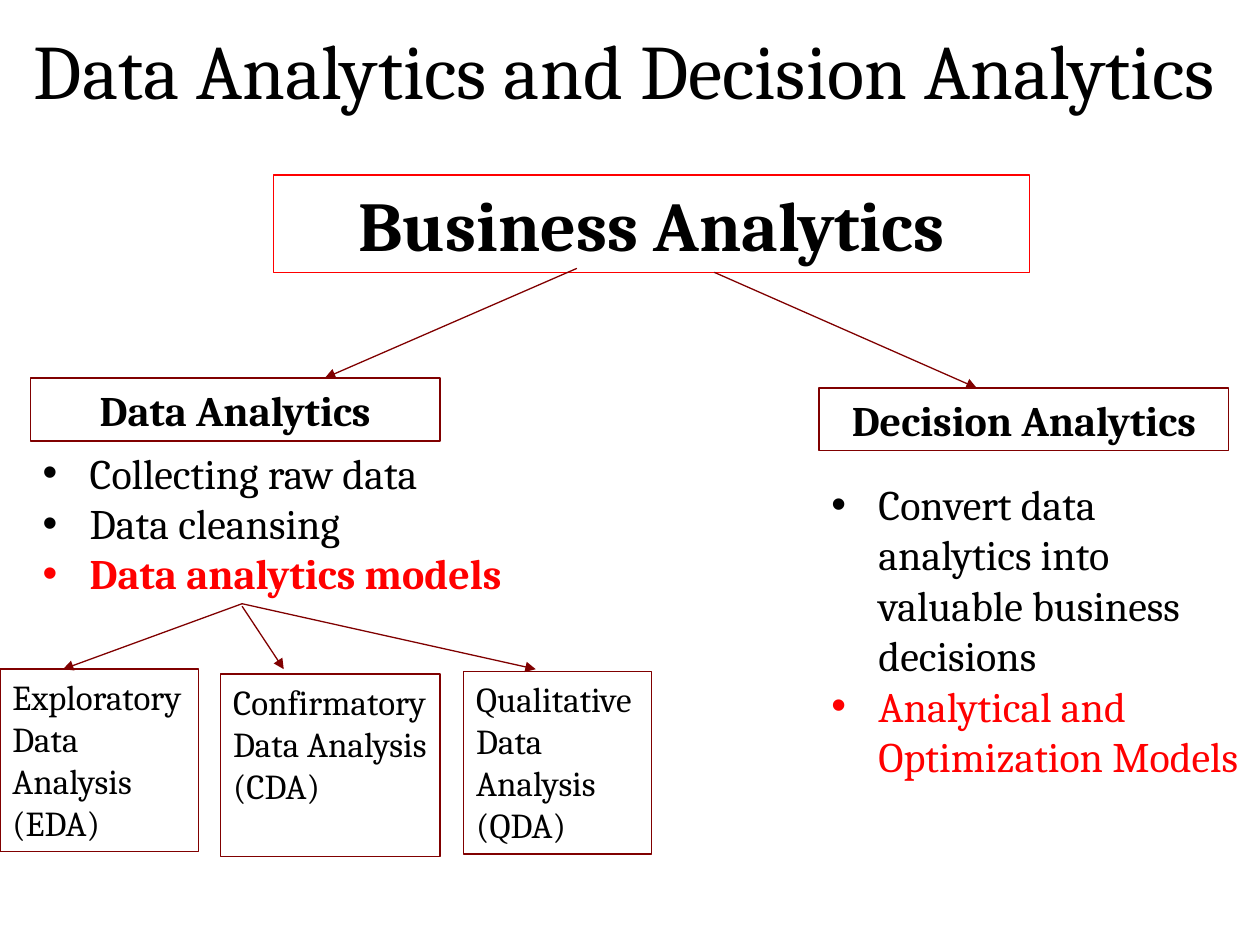
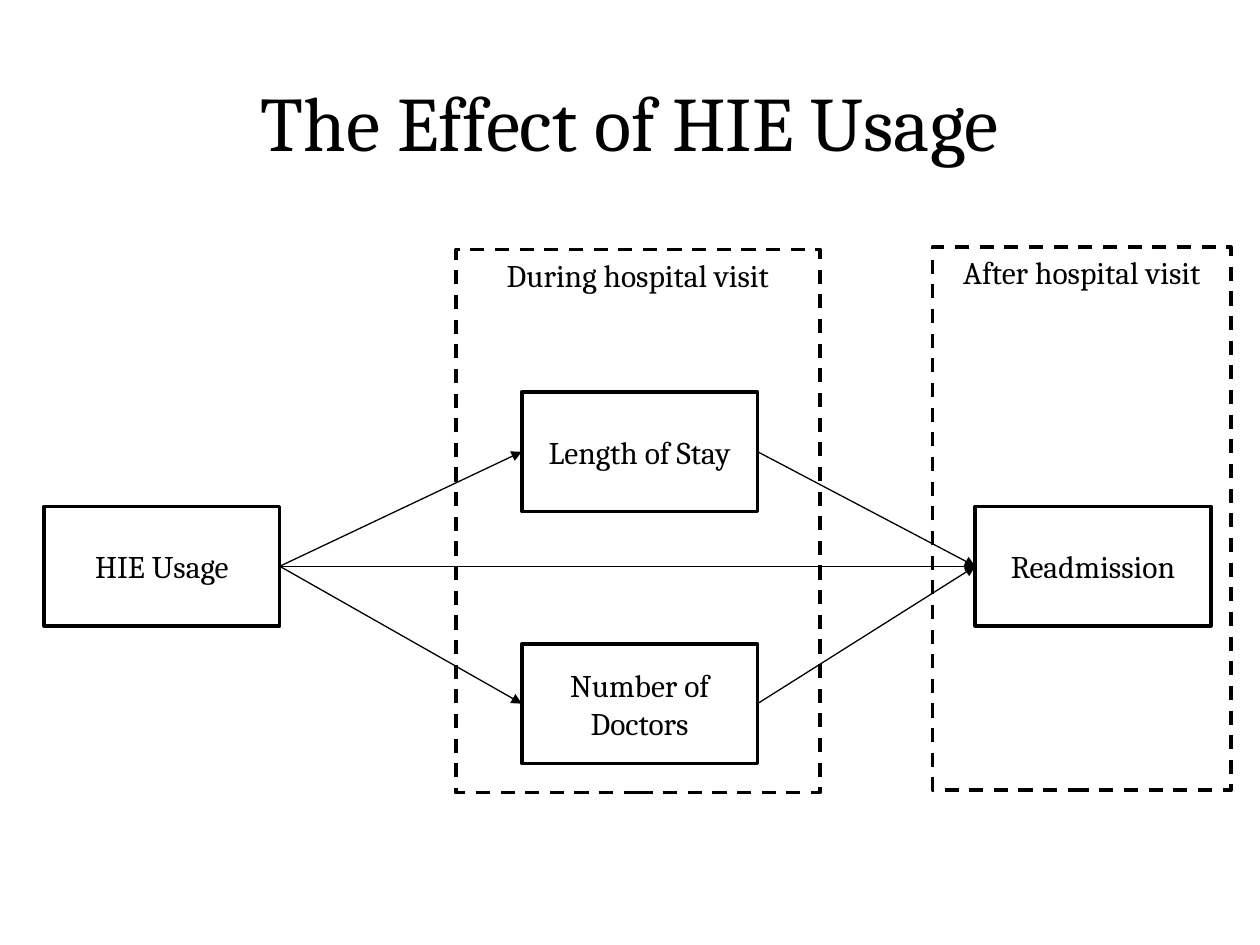
from lxml import etree
from pptx import Presentation
from pptx.dml.color import RGBColor
from pptx.enum.dml import MSO_LINE
from pptx.enum.shapes import MSO_CONNECTOR, MSO_SHAPE
from pptx.enum.text import MSO_ANCHOR, MSO_AUTO_SIZE, PP_ALIGN
from pptx.oxml.ns import qn
from pptx.util import Cm, Pt

RECTANGLE = MSO_SHAPE.RECTANGLE
STRAIGHT = MSO_CONNECTOR.STRAIGHT
DASH = MSO_LINE.DASH
TOP, MIDDLE = MSO_ANCHOR.TOP, MSO_ANCHOR.MIDDLE
LEFT, CENTER = PP_ALIGN.LEFT, PP_ALIGN.CENTER
LEFT_SIDE, RIGHT_SIDE = 1, 3

FONT = "Cambria"
BLACK, RED, MAROON = "000000", "FF0000", "800000"
THIN, THICK = 0.75, 2
BULLET_INDENT = Cm(0.95)
TITLE_ONLY = 5


def rgb(color):
    """Turn a hex string into a colour."""
    return RGBColor.from_string(color)


def write(frame, text, size=18, color=BLACK, bold=False, align=LEFT,
          anchor=TOP, bullet=False, first=True):
    """Write one formatted paragraph into a text frame."""
    frame.word_wrap = True
    frame.auto_size = MSO_AUTO_SIZE.NONE
    frame.vertical_anchor = anchor
    paragraph = frame.paragraphs[0] if first else frame.add_paragraph()
    if bullet:
        properties = paragraph._p.get_or_add_pPr()
        properties.set("marL", str(BULLET_INDENT))
        properties.set("indent", str(-BULLET_INDENT))
        etree.SubElement(properties, qn("a:buFont")).set("typeface", "Arial")
        etree.SubElement(properties, qn("a:buChar")).set("char", "•")
    paragraph.alignment = align
    run = paragraph.add_run()
    run.text = text
    run.font.name = FONT
    run.font.size = Pt(size)
    run.font.bold = bold
    run.font.color.rgb = rgb(color)


def add_title_slide(deck, title, box):
    """Add a slide whose title fills the given box."""
    slide = deck.slides.add_slide(deck.slide_layouts[TITLE_ONLY])
    heading = slide.shapes.title
    heading.left, heading.top, heading.width, heading.height = map(Cm, box)
    write(heading.text_frame, title, size=44, align=CENTER, anchor=MIDDLE)
    return slide


def add_frame(slide, box, text, outline=MAROON, weight=THIN, dash=None, **style):
    """Add an outlined, unfilled rectangle with text."""
    frame = slide.shapes.add_shape(RECTANGLE, *map(Cm, box))
    frame.shadow.inherit = False
    frame.fill.background()
    frame.line.color.rgb = rgb(outline)
    frame.line.width = Pt(weight)
    if dash:
        frame.line.dash_style = dash
    write(frame.text_frame, text, **style)
    return frame


def add_arrow(slide, start, end, color=MAROON):
    """Add a thin straight arrow between two points."""
    arrow = slide.shapes.add_connector(STRAIGHT, *map(Cm, (*start, *end)))
    arrow.line.color.rgb = rgb(color)
    arrow.line.width = Pt(THIN)
    properties = arrow.element.spPr
    etree.SubElement(properties.find(qn("a:ln")), qn("a:tailEnd")).set("type", "triangle")
    etree.SubElement(properties, qn("a:effectLst"))
    return arrow


def link(slide, source, target):
    """Join the right side of one rectangle to the left side of another."""
    arrow = add_arrow(slide, (0, 0), (1, 1), BLACK)
    arrow.begin_connect(source, RIGHT_SIDE)
    arrow.end_connect(target, LEFT_SIDE)


def add_branch(slide, box, heading, steps, list_top, list_width):
    """Add a branch heading with a bulleted list below it."""
    left, top, width, height = box
    add_frame(slide, (left, top, width, 1.27), heading, size=24, bold=True, align=CENTER)
    listing = slide.shapes.add_textbox(
        *map(Cm, (left, top + list_top, list_width, height - list_top)))
    for index, (step, style) in enumerate(steps):
        write(listing.text_frame, step, size=24, bullet=True, first=index == 0, **style)


def add_root(slide, box):
    """Add the business analytics box and its arrows to both branches."""
    left, top, width, height = box
    add_frame(slide, box, "Business Analytics", outline=RED, size=40, bold=True, align=CENTER)
    add_arrow(slide, (left + 6.12, top + height - 0.08), (left + 1.04, top + 4.09))
    add_arrow(slide, (left + 8.89, top + height), (left + 14.18, top + 4.29))


def add_analysis_models(slide, box):
    """Add the three analysis models and the arrows that lead to them."""
    left, top, width, height = box
    models = (
        ("Exploratory Data Analysis (EDA)", 0, 0, 4.01, 1.27, 0),
        ("Confirmatory Data Analysis (CDA)", 4.45, 0.1, 4.42, 5.72, 0.05),
        ("Qualitative Data Analysis (QDA)", 9.35, 0.05, width - 9.35, 10.8, 0),
    )
    row_top = top + 1.32
    for model, x, drop, model_width, tip, tail_drop in models:
        add_arrow(slide, (left + 4.88, top + tail_drop), (left + tip, row_top))
        add_frame(slide, (left + x, row_top + drop, model_width, height - 1.42),
                  model, size=20)


def build_analytics_slide(deck):
    """Build the tree of data analytics and decision analytics."""
    slide = add_title_slide(deck, "Data Analytics and Decision Analytics",
                            (0, -0.2, 25.2, 3.18))
    add_root(slide, (5.51, 3.53, 15.24, 1.96))
    add_branch(slide, (0.61, 7.62, 8.26, 4.6), "Data Analytics", (
        ("Collecting raw data", {}),
        ("Data cleansing", {}),
        ("Data analytics models", {"color": RED, "bold": True}),
    ), 1.27, 10.62)
    add_branch(slide, (16.51, 7.82, 8.26, 8.1), "Decision Analytics", (
        ("Convert data analytics into valuable business decisions", {}),
        ("Analytical and Optimization Models", {"color": RED}),
    ), 1.7, 8.89)
    add_analysis_models(slide, (0, 12.17, 13.13, 5.1))


def add_effect_model(slide, box):
    """Add the visit phases, the measures in them and the effects between them."""
    left, top, width, height = box

    def add_phase(name, x, y, phase_width):
        add_frame(slide, (left + x, top + y, phase_width, height), name,
                  outline=BLACK, weight=THICK, dash=DASH, align=CENTER)

    def add_measure(name, x, y):
        return add_frame(slide, (left + x, top + y, 4.75, 2.41), name,
                         outline=BLACK, weight=THICK, align=CENTER, anchor=MIDDLE)

    add_phase("After hospital visit", 17.91, 0, width - 17.91)
    usage = add_measure("HIE Usage", 0, 5.23)
    stay = add_measure("Length of Stay", 9.63, 2.92)
    doctors = add_measure("Number of Doctors", 9.63, 8)
    readmission = add_measure("Readmission", 18.77, 5.23)
    for mediator in (stay, doctors):
        link(slide, usage, mediator)
        link(slide, mediator, readmission)
    link(slide, usage, readmission)
    add_phase("During hospital visit", 8.3, 0.05, 7.34)


def build_effect_slide(deck):
    """Build the model of how HIE usage affects readmission."""
    slide = add_title_slide(deck, "The Effect of HIE Usage", (1.9, 0.84, 21.6, 3.18))
    add_effect_model(slide, (0.89, 4.98, 23.93, 10.95))


def main():
    """Build and save both slides."""
    deck = Presentation()
    deck.slide_width, deck.slide_height = Cm(25.4), Cm(19.05)
    build_analytics_slide(deck)
    build_effect_slide(deck)
    deck.save("out.pptx")


if __name__ == "__main__":
    main()
